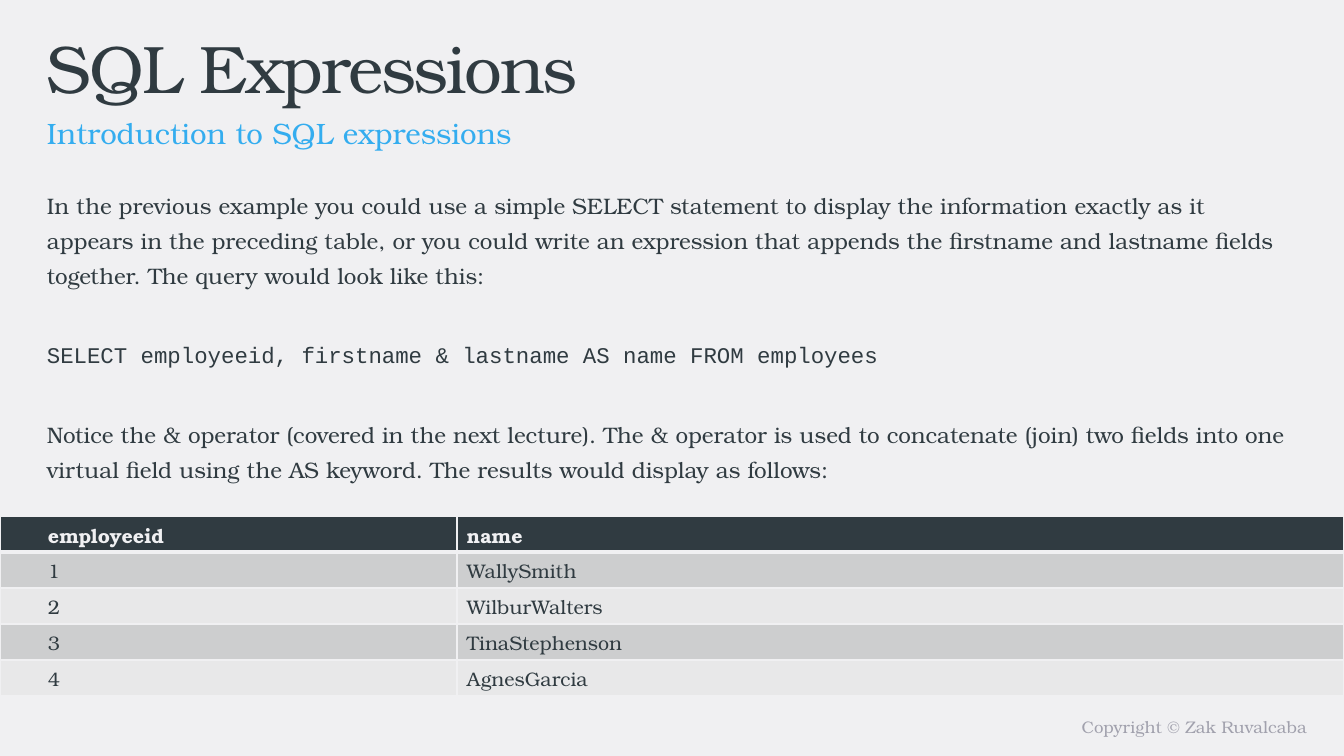
import pptx
import pptx.dml.color
import pptx.enum.text
import pptx.oxml
import pptx.oxml.ns
import pptx.util

PIXEL = 9071
SERIF = "TeX Gyre Bonum"
MONO = "Courier New"
DARK, LIGHT, BLUE, GRAY = "303B41", "F0F0F2", "34ADEF", "A1A1AD"
BANDS = ["CDCECF", "E8E8E9"]


def color(hex_string):
    """Turn a hex string into an RGB colour."""
    return pptx.dml.color.RGBColor.from_string(hex_string)


def format_text(frame, size, hex_string, line_spacing=1.0, bold=False):
    """Style every paragraph and run of a text frame."""
    for para in frame.paragraphs:
        para.line_spacing = line_spacing
        for span in para.runs:
            span.font.name = SERIF
            span.font.size = pptx.util.Pt(size)
            span.font.bold = bold
            span.font.color.rgb = color(hex_string)


deck = pptx.Presentation()
deck.slide_width = 1344 * PIXEL
deck.slide_height = 756 * PIXEL
slide = deck.slides.add_slide(deck.slide_layouts[6])
slide.background.fill.solid()
slide.background.fill.fore_color.rgb = color(LIGHT)

body_text = "\n".join([
    "In the previous example you could use a simple SELECT statement to display "
    "the information exactly as it appears in the preceding table, or you could "
    "write an expression that appends the firstname and lastname fields together. "
    "The query would look like this:",
    "SELECT employeeid, firstname & lastname AS name FROM employees",
    "Notice the & operator (covered in the next lecture). The & operator is used "
    "to concatenate (join) two fields into one virtual field using the AS keyword. "
    "The results would display as follows:",
])

# Text boxes: left, top, width, height, text, size, colour, line spacing
blocks = [
    (672, 712, 645, 31, "Copyright © Zak Ruvalcaba", 12, GRAY, 1.0),
    (37, 21, 1185, 80, "SQL Expressions", 48, DARK, 1.0),
    (37, 100, 1185, 39, "Introduction to SQL expressions", 21, BLUE, 1.3),
    (37, 179, 1269, 320, body_text, 16, DARK, 1.3),
]
frames = []
for left, top, width, height, text, size, hex_string, spacing in blocks:
    box = slide.shapes.add_textbox(*(n * PIXEL for n in (left, top, width, height)))
    frame = box.text_frame
    frame.word_wrap = True
    frame.text = text
    format_text(frame, size, hex_string, spacing)
    frames.append(frame)

copyright_frame, title_frame, subtitle_frame, body_frame = frames
copyright_frame.paragraphs[0].alignment = pptx.enum.text.PP_ALIGN.RIGHT
title_frame.paragraphs[0].runs[0].font._element.set("spc", "-150")
for para in body_frame.paragraphs[1:]:
    para.space_before = pptx.util.Pt(32)
body_frame.paragraphs[1].runs[0].font.name = MONO

# Results table
results = [
    ("employeeid", "name"),
    ("1", "WallySmith"),
    ("2", "WilburWalters"),
    ("3", "TinaStephenson"),
    ("4", "AgnesGarcia"),
]
table = slide.shapes.add_table(
    len(results), 2, 0, 516 * PIXEL, 1344 * PIXEL, 180 * PIXEL).table
for column, width in zip(table.columns, (457, 887)):
    column.width = width * PIXEL

for row_index, record in enumerate(results):
    header = row_index == 0
    for column_index, text in enumerate(record):
        cell = table.cell(row_index, column_index)
        cell.text = text
        cell.margin_left = (48, 10)[column_index] * PIXEL
        format_text(cell.text_frame, 14, LIGHT if header else DARK, bold=header)
        for side in ("lnL", "lnR", "lnT", "lnB"):
            thick = (header and side == "lnB") or (row_index == 1 and side == "lnT")
            cell._tc.get_or_add_tcPr().append(pptx.oxml.parse_xml(
                f'<a:{side} {pptx.oxml.ns.nsdecls("a")} w="{38100 if thick else 12700}">'
                f'<a:solidFill><a:srgbClr val="{LIGHT}"/></a:solidFill></a:{side}>'))
        cell.fill.solid()
        cell.fill.fore_color.rgb = color(DARK if header else BANDS[(row_index - 1) % 2])

deck.save("out.pptx")
